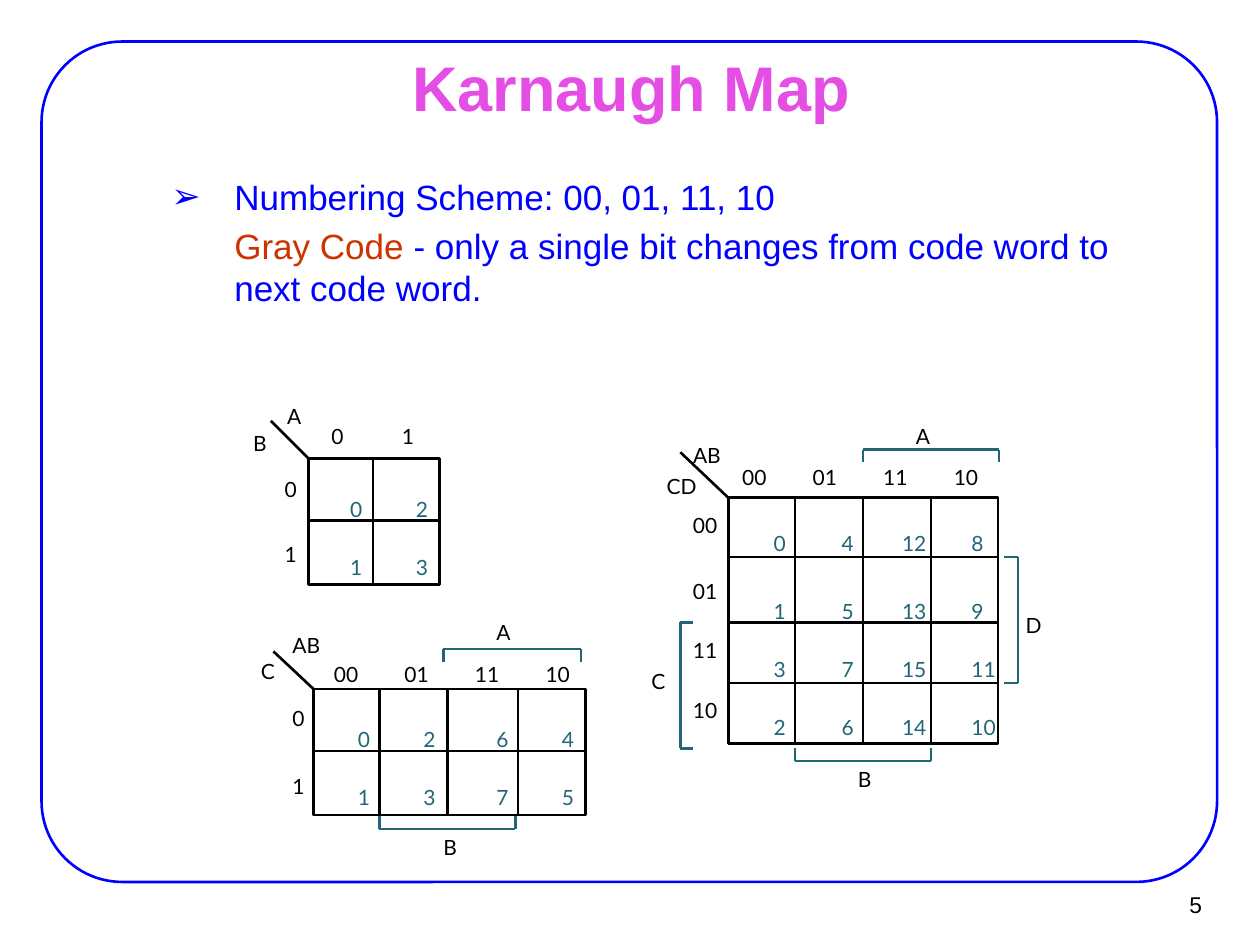
from dataclasses import dataclass
from itertools import pairwise

from lxml import etree
from pptx import Presentation
from pptx import util as u
from pptx.dml.color import RGBColor
from pptx.enum import shapes, text
from pptx.oxml.ns import qn

COLORS = {
    "border": "0000FF",
    "title": "E44EE4",
    "body": "0000FF",
    "term": "CC3300",
    "ink": "000000",
    "teal": "226577",
}
GRAY_CODES = {2: ["0", "1"], 4: ["00", "01", "11", "10"]}
LABEL_STEP = 0.56


@dataclass
class KarnaughMap:
    """Geometry of one map; all lengths are inches."""
    frame: tuple          # left, top, width, height
    column_lines: list    # x of the inner vertical lines
    row_lines: list       # y of the inner horizontal lines
    corner: tuple         # outer end of the diagonal
    column_labels: tuple  # left of the first label, top of all
    row_labels: tuple     # left of all labels, tops
    number_lefts: list
    number_tops: list
    names: list           # (variable name, left, top)
    brackets: list        # four points each


MAPS = [
    KarnaughMap(
        frame=(2.45, 3.64, 1.04, 1), column_lines=[2.96], row_lines=[4.13],
        corner=(2.15, 3.34), column_labels=(2.63, 3.36),
        row_labels=(2.26, [3.78, 4.3]),
        number_lefts=[2.78, 3.3], number_tops=[3.94, 4.4],
        names=[("A", 2.28, 3.2), ("B", 2.01, 3.42)], brackets=[]),
    KarnaughMap(
        frame=(2.49, 5.47, 2.16, 1), column_lines=[3.01, 3.55, 4.11],
        row_lines=[5.96], corner=(2.17, 5.17), column_labels=(2.65, 5.25),
        row_labels=(2.32, [5.6, 6.14]),
        number_lefts=[2.84, 3.36, 3.94, 4.46], number_tops=[5.77, 6.23],
        names=[("AB", 2.32, 5.02), ("C", 2.07, 5.23),
               ("A", 3.94, 4.92), ("B", 3.52, 6.62)],
        brackets=[[(3.52, 5.25), (3.52, 5.15), (4.61, 5.15), (4.61, 5.25)],
                  [(3.01, 6.48), (3.01, 6.58), (4.09, 6.58), (4.09, 6.48)]]),
    KarnaughMap(
        frame=(5.78, 3.95, 2.14, 1.95), column_lines=[6.31, 6.85, 7.39],
        row_lines=[4.42, 4.94, 5.42], corner=(5.4, 3.59),
        column_labels=(5.89, 3.69),
        row_labels=(5.5, [4.07, 4.59, 5.06, 5.54]),
        number_lefts=[6.14, 6.68, 7.16, 7.71],
        number_tops=[4.21, 4.75, 5.21, 5.67],
        names=[("AB", 5.5, 3.51), ("CD", 5.29, 3.76), ("A", 7.27, 3.36),
               ("C", 5.17, 5.31), ("B", 6.81, 6.08), ("D", 8.14, 4.86)],
        brackets=[[(6.85, 3.67), (6.85, 3.57), (7.93, 3.57), (7.93, 3.67)],
                  [(6.31, 5.94), (6.31, 6.04), (7.39, 6.04), (7.39, 5.94)],
                  [(7.97, 4.42), (8.08, 4.42), (8.08, 5.42), (7.97, 5.42)],
                  [(5.5, 4.94), (5.4, 4.94), (5.4, 5.94), (5.5, 5.94)]]),
]


def color(name):
    """Return a named colour."""
    return RGBColor.from_string(COLORS[name])


def set_font(font, name, size, color_name, bold=False):
    """Set the usual font properties."""
    font.name = name
    font.size = u.Pt(size)
    font.bold = bold
    font.color.rgb = color(color_name)


def set_insets(frame, horizontal, vertical):
    """Set equal opposite insets on a text frame."""
    frame.margin_left = frame.margin_right = u.Inches(horizontal)
    frame.margin_top = frame.margin_bottom = u.Inches(vertical)


def add_outline(slide, kind, box, color_name):
    """Add an unfilled preset shape."""
    shape = slide.shapes.add_shape(kind, *map(u.Inches, box))
    shape.shadow.inherit = False
    shape.fill.background()
    shape.line.color.rgb = color(color_name)
    shape.line.width = u.Pt(1.5)
    return shape


def add_line(slide, start, end, color_name="ink"):
    """Add a straight line without a shadow."""
    line = slide.shapes.add_connector(
        shapes.MSO_CONNECTOR.STRAIGHT, *map(u.Inches, (*start, *end)))
    line.line.color.rgb = color(color_name)
    line.line.width = u.Pt(1.5)
    etree.SubElement(line._element.spPr, qn("a:effectLst"))


def add_text_box(slide, box, insets):
    """Add a wrapping text box and return its frame."""
    frame = slide.shapes.add_textbox(*map(u.Inches, box)).text_frame
    frame.word_wrap = True
    set_insets(frame, *insets)
    return frame


def add_label(slide, label, left, top, color_name="ink"):
    """Add a small label sized to its characters."""
    width = 0.05 + len(label) * (0.09 if label.isdigit() else 0.12)
    frame = add_text_box(slide, (left, top, width, 0.2), (0, 0))
    paragraph = frame.paragraphs[0]
    paragraph.text = label
    set_font(paragraph.font, "Lato", 12, color_name)


def add_title(slide, title):
    """Place and format the title placeholder."""
    shape = slide.shapes.title
    shape.left, shape.top, shape.width, shape.height = map(
        u.Inches, (0.76, 0.44, 8.5, 0.49))
    frame = shape.text_frame
    frame.text = title
    frame.auto_size = text.MSO_AUTO_SIZE.NONE
    frame.vertical_anchor = text.MSO_ANCHOR.MIDDLE
    set_insets(frame, 0.11, 0.06)
    paragraph = frame.paragraphs[0]
    paragraph.alignment = text.PP_ALIGN.CENTER
    set_font(paragraph.font, "Arial", 36, "title", bold=True)


def add_body_paragraph(paragraph, runs, bullet=None):
    """Fill an indented paragraph with (words, colour) runs."""
    properties = paragraph._p.get_or_add_pPr()
    properties.set("marL", str(u.Inches(1)))
    properties.set("indent", str(u.Inches(-0.5 if bullet else 0)))
    if bullet:
        etree.SubElement(properties, qn("a:buFont"), typeface="Arial")
        etree.SubElement(properties, qn("a:buChar"), char=bullet)
    paragraph.space_before = u.Pt(4)
    set_font(paragraph.font, "Arial", 20, "body")
    for words, color_name in runs:
        run = paragraph.add_run()
        run.text = words
        run.font.color.rgb = color(color_name)


def add_body(slide):
    """Add the explanation of the numbering scheme."""
    frame = add_text_box(slide, (0.75, 1.33, 8.5, 1.3), (0.11, 0.06))
    add_body_paragraph(frame.paragraphs[0], [
        ("Numbering Scheme: 00, 01, 11, 10", "body")], bullet="\u27a2")
    add_body_paragraph(frame.add_paragraph(), [
        ("Gray Code", "term"),
        (" - only a single bit changes from code word to next code word.",
         "body")])


def add_map(slide, kmap):
    """Draw a map with its grid, codes, cell numbers and brackets."""
    left, top, width, height = kmap.frame
    add_outline(slide, shapes.MSO_SHAPE.RECTANGLE, kmap.frame, "ink")
    for x in kmap.column_lines:
        add_line(slide, (x, top), (x, top + height))
    for y in kmap.row_lines:
        add_line(slide, (left, y), (left + width, y))
    add_line(slide, (left, top), kmap.corner)

    column_codes = GRAY_CODES[len(kmap.number_lefts)]
    row_codes = GRAY_CODES[len(kmap.number_tops)]
    label_left, label_top = kmap.column_labels
    for index, code in enumerate(column_codes):
        add_label(slide, code, label_left + index * LABEL_STEP, label_top)
    row_left, row_tops = kmap.row_labels
    for code, y in zip(row_codes, row_tops):
        add_label(slide, code, row_left, y)
    for column_code, x in zip(column_codes, kmap.number_lefts):
        for row_code, y in zip(row_codes, kmap.number_tops):
            add_label(slide, str(int(column_code + row_code, 2)), x, y, "teal")

    for name in kmap.names:
        add_label(slide, *name)
    for bracket in kmap.brackets:
        for start, end in pairwise(bracket):
            add_line(slide, start, end, "teal")


def add_page_number(slide, number):
    """Add the page number at the lower right."""
    frame = add_text_box(slide, (9.02, 6.99, 0.61, 0.37), (0.09, 0.04))
    frame.vertical_anchor = text.MSO_ANCHOR.MIDDLE
    paragraph = frame.paragraphs[0]
    paragraph.text = number
    paragraph.alignment = text.PP_ALIGN.RIGHT
    set_font(paragraph.font, "Arial", 13, "ink")


def main():
    """Build and save the presentation."""
    presentation = Presentation()
    presentation.slide_width = u.Inches(10)
    presentation.slide_height = u.Inches(7.5)
    slide = presentation.slides.add_slide(presentation.slide_layouts[5])
    border = add_outline(slide, shapes.MSO_SHAPE.ROUNDED_RECTANGLE,
                         (0.33, 0.33, 9.33, 6.67), "border")
    border.adjustments[0] = 0.096
    add_page_number(slide, "5")
    add_title(slide, "Karnaugh Map")
    add_body(slide)
    for kmap in MAPS:
        add_map(slide, kmap)
    presentation.save("out.pptx")


main()
